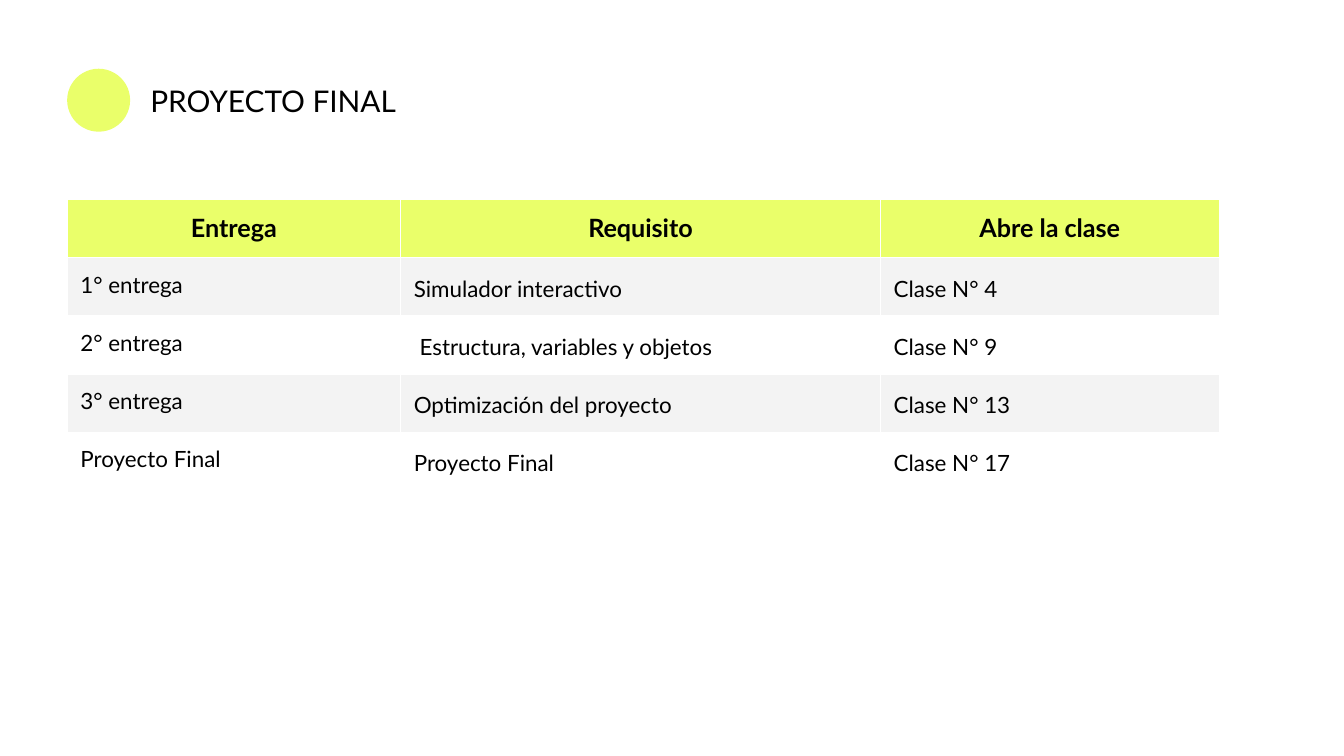
import lxml.etree
import pptx
import pptx.dml.color
import pptx.enum.shapes
import pptx.enum.text
import pptx.oxml.ns
import pptx.util

Cm = pptx.util.Cm
Pt = pptx.util.Pt
Align = pptx.enum.text.PP_ALIGN
Anchor = pptx.enum.text.MSO_ANCHOR

TITLE = "PROYECTO FINAL"
HEADERS = ("Entrega", "Requisito", "Abre la clase")
DELIVERIES = [
    ("1° entrega", "Simulador interactivo", "Clase N° 4"),
    ("2° entrega", "Estructura, variables y objetos", "Clase N° 9"),
    ("3° entrega", "Optimización del proyecto", "Clase N° 13"),
    ("Proyecto Final", "Proyecto Final", "Clase N° 17"),
]
INDENTS = {(2, 1): Cm(0.11)}

THEME = {
    "font": "Lato",
    "text": "000000",
    "accent": "EAFF6A",
    "band": "F3F3F3",
    "plain": "FFFFFF",
    "title_size": 16,
    "header_size": 13.5,
    "body_size": 12,
    "border_width": 0.75,
}

LEFT = 1.27
HEADING_TOP = 1.3
HEADING_HEIGHT = 1.19
TABLE_TOP = 3.77
COLUMN_WIDTHS = (6.3, 9.07, 6.4)
ROW_HEIGHT = 1.1
INSET = Cm(0.25)
MARGINS = dict.fromkeys(("margin_left", "margin_top", "margin_right", "margin_bottom"), INSET)


def color(name):
    return pptx.dml.color.RGBColor.from_string(THEME[name])


def apply(target, values):
    for name, value in values.items():
        setattr(target, name, value)


def paint(fill, name):
    fill.solid()
    fill.fore_color.rgb = color(name)


def write(paragraph, text, size, bold=False, **paragraph_format):
    run = paragraph.add_run()
    run.text = text
    apply(run.font, {"name": THEME["font"], "size": Pt(THEME[size]), "bold": bold})
    run.font.color.rgb = color("text")
    apply(paragraph, paragraph_format)


def add_borders(cell):
    properties = cell._tc.get_or_add_tcPr()
    for side in ("a:lnL", "a:lnR", "a:lnT", "a:lnB"):
        line = lxml.etree.SubElement(properties, pptx.oxml.ns.qn(side))
        line.set("w", str(Pt(THEME["border_width"])))
        fill = lxml.etree.SubElement(line, pptx.oxml.ns.qn("a:solidFill"))
        lxml.etree.SubElement(fill, pptx.oxml.ns.qn("a:srgbClr")).set("val", THEME["plain"])


def add_heading(slide):
    title = slide.shapes.title
    apply(title, {"left": Cm(2.59), "top": Cm(HEADING_TOP),
                  "width": Cm(6.83), "height": Cm(HEADING_HEIGHT)})
    apply(title.text_frame, {**MARGINS, "word_wrap": True, "vertical_anchor": Anchor.MIDDLE,
                             "auto_size": pptx.enum.text.MSO_AUTO_SIZE.NONE})
    write(title.text_frame.paragraphs[0], TITLE, "title_size", alignment=Align.LEFT)

    circle = slide.shapes.add_shape(
        pptx.enum.shapes.MSO_SHAPE.OVAL, Cm(LEFT), Cm(HEADING_TOP),
        Cm(HEADING_HEIGHT), Cm(HEADING_HEIGHT))
    circle.shadow.inherit = False
    paint(circle.fill, "accent")
    circle.line.fill.background()


def add_deliveries(slide):
    rows = [HEADERS, *DELIVERIES]
    table = slide.shapes.add_table(
        len(rows), len(HEADERS), Cm(LEFT), Cm(TABLE_TOP),
        Cm(sum(COLUMN_WIDTHS)), Cm(ROW_HEIGHT * len(rows))).table
    for column, width in zip(table.columns, COLUMN_WIDTHS):
        column.width = Cm(width)
    for row_index, texts in enumerate(rows):
        table.rows[row_index].height = Cm(ROW_HEIGHT)
        for column_index, text in enumerate(texts):
            cell = table.cell(row_index, column_index)
            paragraph = cell.text_frame.paragraphs[0]
            apply(cell, {**MARGINS, "vertical_anchor": Anchor.TOP})
            add_borders(cell)
            if row_index == 0:
                paint(cell.fill, "accent")
                write(paragraph, text, "header_size", bold=True, alignment=Align.CENTER)
                continue
            paint(cell.fill, "band" if row_index % 2 else "plain")
            write(paragraph, text, "body_size", alignment=Align.LEFT,
                  line_spacing=1.15 if column_index else 1.0)
            indent = INDENTS.get((row_index, column_index))
            if indent:
                paragraph._p.get_or_add_pPr().set("marL", str(indent))


def main():
    presentation = pptx.Presentation()
    apply(presentation, {"slide_width": Cm(25.4), "slide_height": Cm(14.29)})
    slide = presentation.slides.add_slide(presentation.slide_layouts[5])
    paint(slide.background.fill, "plain")
    add_heading(slide)
    add_deliveries(slide)
    presentation.save("out.pptx")


if __name__ == "__main__":
    main()
